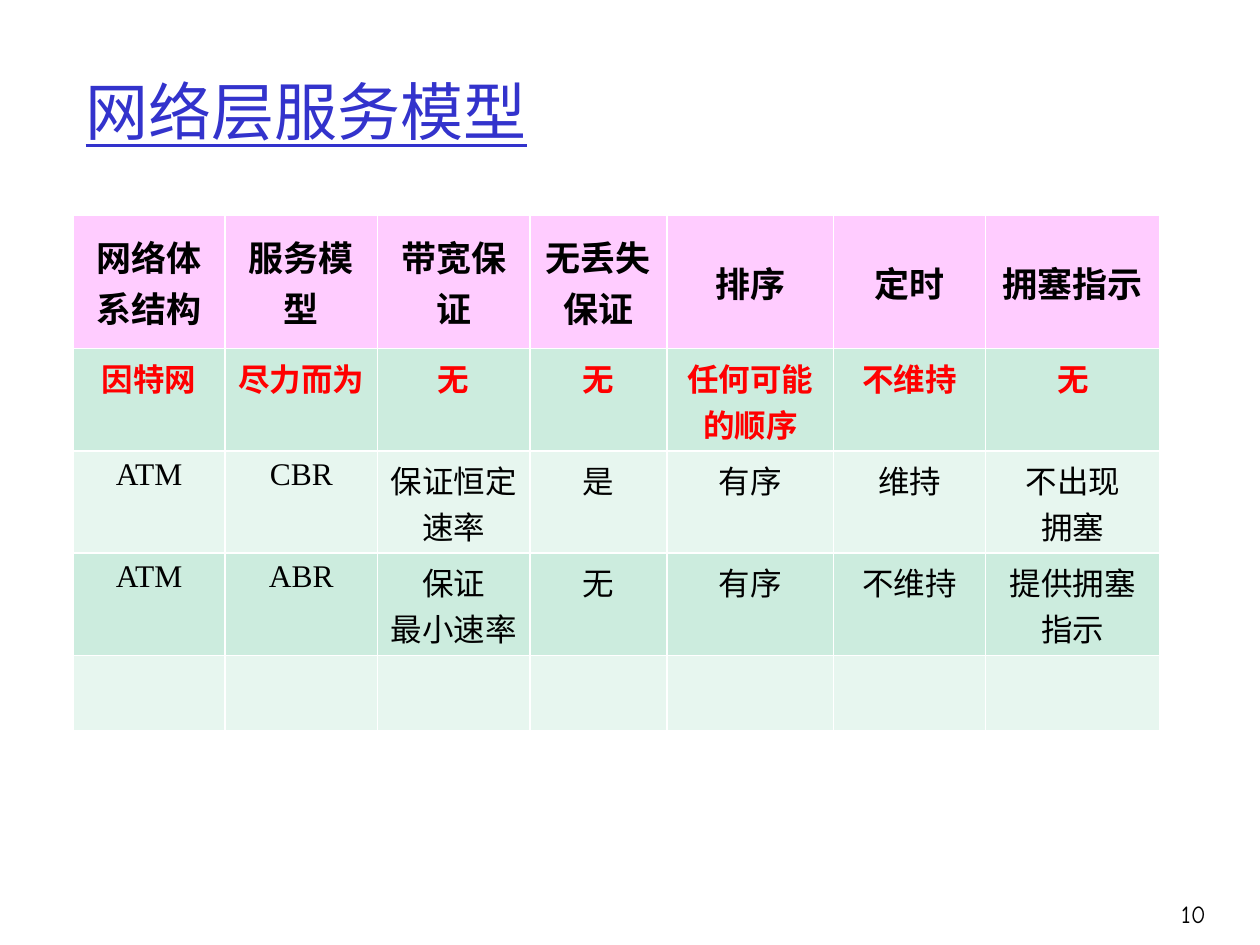
"""Build the slide comparing network-layer service models."""
import pptx
import pptx.dml.color
import pptx.enum.text
import pptx.util

Cm = pptx.util.Cm
Pt = pptx.util.Pt
RGBColor = pptx.dml.color.RGBColor
Align = pptx.enum.text.PP_ALIGN
Anchor = pptx.enum.text.MSO_ANCHOR

BLUE = RGBColor(0x33, 0x33, 0xCC)
BLACK = RGBColor(0, 0, 0)
RED = RGBColor(0xFF, 0, 0)
PINK = RGBColor(0xFF, 0xCC, 0xFF)
GREEN = RGBColor(0xCC, 0xEC, 0xDE)
PALE_GREEN = RGBColor(0xE7, 0xF6, 0xEF)

COLUMN_WIDTHS = [3.07, 3.07, 3.07, 2.77, 3.35, 3.07, 3.51]
ROW_HEIGHTS = [2.69, 2.06, 2.06, 2.06, 1.52]
SERVICE_MODELS = [
    ["网络体系结构", "服务模型", "带宽保证", "无丢失保证", "排序", "定时", "拥塞指示"],
    ["因特网", "尽力而为", "无", "无", "任何可能的顺序", "不维持", "无"],
    ["ATM", "CBR", "保证恒定\n速率", "是", "有序", "维持", "不出现\n拥塞"],
    ["ATM", "ABR", "保证\n最小速率", "无", "有序", "不维持", "提供拥塞指示"],
    [""] * 7,
]


class SlideBuilder:
    """Hold the fonts and the current slide."""

    title_font = "Cambria"
    table_font = "Times New Roman"
    number_font = "Comic Neue"

    def __init__(self, deck):
        self.slide = deck.slides.add_slide(deck.slide_layouts[5])

    def set_text(self, frame, text, font, size, color, align, bold=False, underline=False):
        frame.text = text
        for para in frame.paragraphs:
            para.alignment = align
            para.font.name = font
            para.font.size = Pt(size)
            para.font.color.rgb = color
            para.font.bold = bold
            para.font.underline = underline

    def number(self, text, left, top, width, height):
        box = self.slide.shapes.add_textbox(Cm(left), Cm(top), Cm(width), Cm(height))
        box.text_frame.word_wrap = True
        box.text_frame.vertical_anchor = Anchor.MIDDLE
        self.set_text(box.text_frame, text, self.number_font, 14, BLACK, Align.RIGHT)

    def title(self, text, left, top, width, height):
        title = self.slide.shapes.title
        title.left, title.top = Cm(left), Cm(top)
        title.width, title.height = Cm(width), Cm(height)
        title.text_frame.vertical_anchor = Anchor.MIDDLE
        self.set_text(title.text_frame, text, self.title_font, 36, BLUE, Align.LEFT, underline=True)

    def table(self, rows, left, top, widths, heights):
        table = self.slide.shapes.add_table(
            len(rows), len(widths), Cm(left), Cm(top), Cm(sum(widths)), Cm(sum(heights))
        ).table
        for column, width in zip(table.columns, widths):
            column.width = Cm(width)
        for index, (row, height, texts) in enumerate(zip(table.rows, heights, rows)):
            row.height = Cm(height)
            header = index == 0
            fill = PINK if header else GREEN if index % 2 else PALE_GREEN
            color = RED if index == 1 else BLACK
            for cell, text in zip(row.cells, texts):
                cell.fill.solid()
                cell.fill.fore_color.rgb = fill
                cell.vertical_anchor = Anchor.MIDDLE if header else Anchor.TOP
                self.set_text(cell.text_frame, text, self.table_font, 20 if header else 18,
                              color, Align.CENTER, bold=index < 2)


def main():
    deck = pptx.Presentation()
    deck.slide_width, deck.slide_height = Cm(25.4), Cm(19.05)
    builder = SlideBuilder(deck)
    builder.number("10", 22.68, 17.78, 1.88, 1.27)
    builder.title("网络层服务模型", 1.47, 0.64, 22.45, 3.18)
    builder.table(SERVICE_MODELS, 1.47, 4.34, COLUMN_WIDTHS, ROW_HEIGHTS)
    deck.save("out.pptx")


if __name__ == "__main__":
    main()
